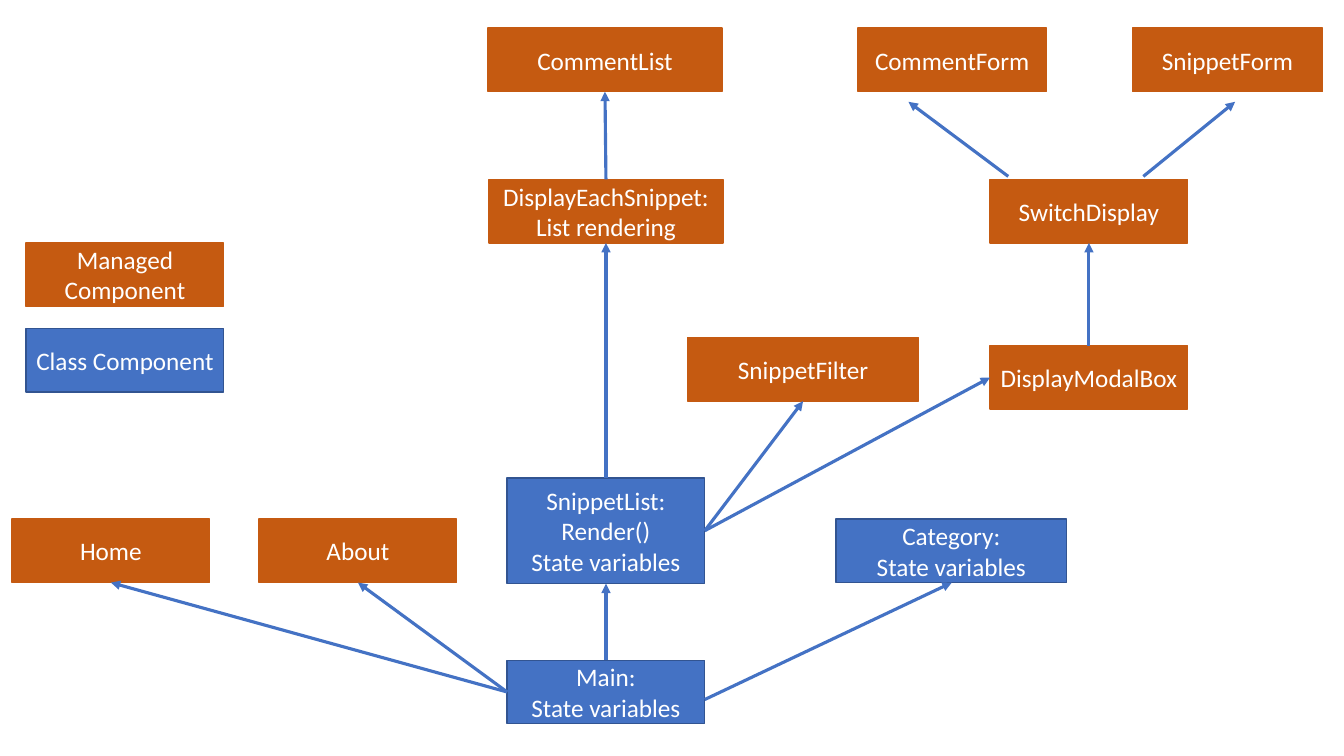
"""Builds a one-slide diagram of managed and class components."""
from lxml import etree
from pptx import Presentation
from pptx.dml.color import RGBColor
from pptx.enum.shapes import MSO_CONNECTOR, MSO_SHAPE
from pptx.enum.text import MSO_ANCHOR, PP_ALIGN
from pptx.oxml.ns import qn
from pptx.util import Inches, Pt

RECTANGLE = MSO_SHAPE.RECTANGLE
STRAIGHT = MSO_CONNECTOR.STRAIGHT
MIDDLE = MSO_ANCHOR.MIDDLE
CENTER = PP_ALIGN.CENTER
ORANGE = RGBColor(0xC5, 0x5A, 0x11)
BLUE = RGBColor(0x44, 0x72, 0xC4)
DARK_BLUE = RGBColor(0x32, 0x54, 0x91)
WHITE = RGBColor(0xFF, 0xFF, 0xFF)
BLANK_LAYOUT = 6
TOP, LEFT, BOTTOM, RIGHT = range(4)
BOX_WIDTH, BOX_HEIGHT = 1.96, 0.63

MANAGED = {
    "CommentList": (4.84, 0.28, 2.32),
    "CommentForm": (8.51, 0.28, 1.87),
    "SnippetForm": (11.23, 0.28, 1.89),
    "DisplayEachSnippet:\nList rendering": (4.85, 1.78, 2.32),
    "SwitchDisplay": (9.82, 1.78),
    "Managed Component": (0.26, 2.41),
    "SnippetFilter": (6.82, 3.35, 2.29),
    "DisplayModalBox": (9.82, 3.43),
    "Home": (0.12, 5.15),
    "About": (2.57, 5.15),
}
CLASSES = {
    "Class Component": (0.26, 3.26),
    "SnippetList:\nRender()\nState variables": (5.03, 4.74, BOX_WIDTH, 1.05),
    "Category:\nState variables": (8.29, 5.15, 2.29),
    "Main:\nState variables": (5.03, 6.55),
}
LINKS = [
    ("Main", LEFT, "Home", BOTTOM),
    ("Main", LEFT, "About", BOTTOM),
    ("Main", TOP, "SnippetList", BOTTOM),
    ("SnippetList", TOP, "DisplayEachSnippet", BOTTOM),
    ("SnippetList", RIGHT, "SnippetFilter", BOTTOM),
    ("SnippetList", RIGHT, "DisplayModalBox", LEFT),
    ("DisplayEachSnippet", TOP, "CommentList", BOTTOM),
    ("DisplayModalBox", TOP, "SwitchDisplay", BOTTOM),
]
FREE_ARROWS = [
    (6.99, 6.94, 9.44, 5.78),
    (10, 1.75, 9.01, 1.01),
    (11.34, 1.75, 12.25, 1.01),
]


def write_text(frame, text, *, font="Calibri", size=18, color=WHITE, align=CENTER):
    """Write each line of text as a formatted paragraph."""
    for index, line in enumerate(text.split("\n")):
        para = frame.paragraphs[0] if index == 0 else frame.add_paragraph()
        para.alignment = align
        span = para.add_run()
        span.text = line
        span.font.name = font
        span.font.size = Pt(size)
        span.font.color.rgb = color


class Diagram:
    """Holds the style and the current slide."""

    def __init__(self, page, arrow_color=BLUE, arrow_width=2.25, border_width=1):
        """Keep the slide and line styles."""
        self.page = page
        self.arrow_color = arrow_color
        self.arrow_width = Pt(arrow_width)
        self.border_width = Pt(border_width)

    def box(self, text, fill, border, left, top, width=BOX_WIDTH, height=BOX_HEIGHT):
        """Add a labelled rectangle."""
        place = [Inches(length) for length in (left, top, width, height)]
        box = self.page.shapes.add_shape(RECTANGLE, *place)
        box.shadow.inherit = False
        box.fill.solid()
        box.fill.fore_color.rgb = fill
        box.line.color.rgb = border
        box.line.width = self.border_width
        box.text_frame.word_wrap = True
        box.text_frame.vertical_anchor = MIDDLE
        write_text(box.text_frame, text)
        return box

    def arrow(self, *ends):
        """Add an arrow between two points."""
        places = [Inches(length) for length in ends]
        arrow = self.page.shapes.add_connector(STRAIGHT, *places)
        arrow.line.color.rgb = self.arrow_color
        arrow.line.width = self.arrow_width
        etree.SubElement(arrow.get_or_add_ln(), qn("a:tailEnd"), type="triangle")
        etree.SubElement(arrow.element.spPr, qn("a:effectLst"))
        return arrow

    def link(self, source, source_side, target, target_side):
        """Add an arrow attached to two boxes."""
        arrow = self.arrow(0, 0, 0, 0)
        arrow.begin_connect(source, source_side)
        arrow.end_connect(target, target_side)


deck = Presentation()
deck.slide_width = Inches(13.33)
deck.slide_height = Inches(7.5)
diagram = Diagram(deck.slides.add_slide(deck.slide_layouts[BLANK_LAYOUT]))

boxes = {}
for group, fill, border in ((MANAGED, ORANGE, ORANGE), (CLASSES, BLUE, DARK_BLUE)):
    for text, place in group.items():
        boxes[text.split(":")[0]] = diagram.box(text, fill, border, *place)

for source, source_side, target, target_side in LINKS:
    diagram.link(boxes[source], source_side, boxes[target], target_side)
for ends in FREE_ARROWS:
    diagram.arrow(*ends)

deck.save("out.pptx")
